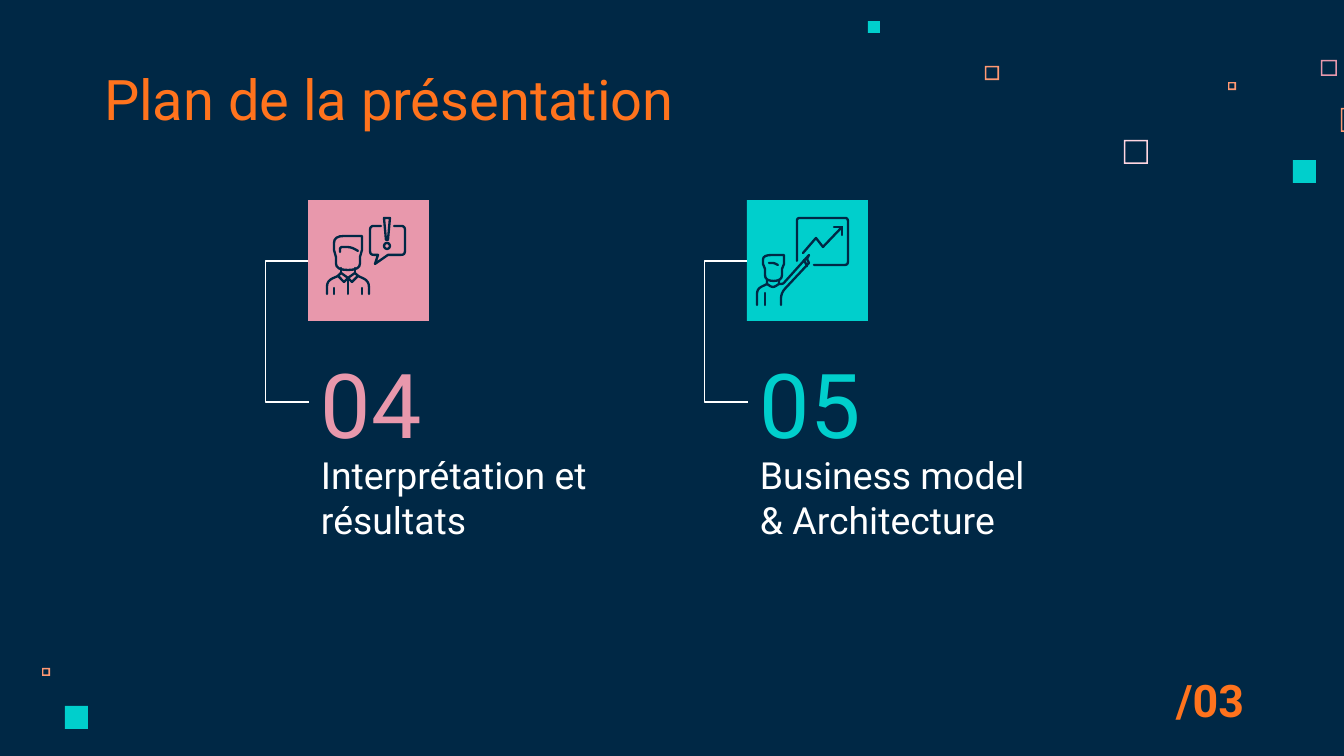
from math import hypot

from pptx import Presentation
from pptx.dml.color import RGBColor
from pptx.enum.shapes import MSO_CONNECTOR, MSO_SHAPE
from pptx.enum.text import MSO_ANCHOR, MSO_AUTO_SIZE, PP_ALIGN
from pptx.oxml.ns import qn
from pptx.util import Emu, Pt
from lxml import etree

RECTANGLE, FRAME, OVAL = MSO_SHAPE.RECTANGLE, MSO_SHAPE.FRAME, MSO_SHAPE.OVAL
ELBOW = MSO_CONNECTOR.ELBOW
BOTTOM, MIDDLE = MSO_ANCHOR.BOTTOM, MSO_ANCHOR.MIDDLE
NO_FIT = MSO_AUTO_SIZE.NONE
LEFT = PP_ALIGN.LEFT

COLORS = {
    "navy": "002845",
    "white": "FFFFFF",
    "orange": "FF731D",
    "peach": "FF9973",
    "pink": "E898AC",
    "blush": "FFD6E1",
    "teal": "00CFCC",
}
TILE = 121
TILE_TOP = 200
TEXT_HEIGHT = 85

FRAMES = [
    (1124, 140, 24, "blush"),
    (1321, 60, 16, "pink"),
    (1228, 82, 8, "peach"),
    (1341, 108, 24, "peach"),
    (985, 66, 14, "peach"),
    (42, 668, 8, "peach"),
]
SQUARES = [(1293, 160, 23), (868, 21, 12), (65, 706, 23)]

SPEAKER_CLOSED = [
    [(54, 36), (54, 50), (52, 57), (52, 70, 12), (28, 70, 12), (28, 57), (26, 50), (26, 36, 10)],
    [(33, 73), (30, 76), (36, 82), (40, 78)],
    [(47, 73), (50, 76), (44, 82), (40, 78)],
    [(76, 18), (82, 18), (80, 40), (78, 40)],
]
SPEAKER_OPEN = [
    [(32, 52), (32, 47, 3), (43, 47, 6), (50, 51)],
    [(33, 68), (33, 73)],
    [(47, 68), (47, 73)],
    [(19, 94), (19, 81, 6), (30, 76)],
    [(61, 94), (61, 81, 6), (50, 76)],
    [(40, 78), (40, 94)],
    [(26, 88), (26, 94)],
    [(54, 88), (54, 94)],
    [(73, 26), (62, 26, 4), (62, 55, 4), (70, 55), (67, 64), (80, 55), (97, 55, 4), (97, 26, 4), (86, 26)],
]
PRESENTER_CLOSED = [
    [(37, 55), (37, 64), (35, 69), (35, 81, 9), (18, 81, 9), (18, 69), (16, 64), (16, 55, 9)],
]
PRESENTER_OPEN = [
    [(22, 63), (27, 63, 3), (31, 65)],
    [(20, 80), (20, 84), (26, 88, 4), (32, 84), (32, 80)],
    [(10, 105), (10, 89, 5), (20, 84)],
    [(18, 93), (18, 105)],
    [(32, 84), (36, 84, 2), (62, 55), (60, 59), (62, 63), (34, 93, 6), (34, 105)],
    [(57, 60), (60, 66)],
    [(50, 61), (50, 18, 3), (101, 18, 3), (101, 65, 3), (67, 65)],
    [(56, 53), (69, 38), (76, 47), (95, 27)],
    [(87, 27), (95, 27), (95, 35)],
]
SECTIONS = [
    (308, "04", ["Interprétation et résultats"], 331, "pink",
     SPEAKER_CLOSED, SPEAKER_OPEN, [(76, 43, 6)]),
    (747, "05", ["Business model", "& Architecture"], 316, "teal",
     PRESENTER_CLOSED, PRESENTER_OPEN, []),
]


def color(name):
    return RGBColor.from_string(COLORS[name])


def px(length):
    return Emu(round(length * 914400 / 134.4))


def toward(start, end, distance):
    length = hypot(end[0] - start[0], end[1] - start[1])
    ratio = min(distance / length, 0.5)
    return [a + (b - a) * ratio for a, b in zip(start[:2], end[:2])]


def round_corners(points):
    outline = []
    for index, point in enumerate(points):
        if len(point) == 2:
            outline.append(point)
            continue
        x, y, radius = point
        entry = toward(point, points[index - 1], radius)
        leave = toward(point, points[(index + 1) % len(points)], radius)
        for step in range(5):
            t = step / 4
            weights = (1 - t) ** 2, 2 * t * (1 - t), t ** 2
            outline.append([
                weights[0] * a + weights[1] * b + weights[2] * c
                for a, b, c in zip(entry, (x, y), leave)
            ])
    return outline


class SlideBuilder:
    font = "Roboto"
    icon_line = Pt(1.25)

    def __init__(self, presentation):
        self.slide = presentation.slides.add_slide(presentation.slide_layouts[5])
        self.slide.background.fill.solid()
        self.slide.background.fill.fore_color.rgb = color("navy")

    def format_text(self, shape, lines, size, color_name, anchor=BOTTOM, bold=False):
        frame = shape.text_frame
        frame.text = "\n".join(lines)
        frame.word_wrap = True
        frame.auto_size = NO_FIT
        frame.vertical_anchor = anchor
        frame.margin_left = frame.margin_right = px(13)
        frame.margin_top = frame.margin_bottom = px(13)
        for paragraph in frame.paragraphs:
            paragraph.alignment = LEFT
            paragraph.font.name = self.font
            paragraph.font.size = Pt(size)
            paragraph.font.bold = bold
            paragraph.font.color.rgb = color(color_name)

    def title(self, left, top, width, text):
        shape = self.slide.shapes.title
        shape.left, shape.top = px(left), px(top)
        shape.width, shape.height = px(width), px(TEXT_HEIGHT)
        self.format_text(shape, [text], 30, "orange")

    def text(self, left, top, width, lines, size, color_name, **style):
        shape = self.slide.shapes.add_textbox(px(left), px(top), px(width), px(TEXT_HEIGHT))
        self.format_text(shape, lines, size, color_name, **style)

    def square(self, left, top, size, color_name, kind=RECTANGLE):
        shape = self.slide.shapes.add_shape(kind, px(left), px(top), px(size), px(size))
        shape.shadow.inherit = False
        shape.fill.solid()
        shape.fill.fore_color.rgb = color(color_name)
        shape.line.fill.background()
        return shape

    def frame(self, left, top, size, color_name):
        shape = self.square(left, top, size, color_name, FRAME)
        shape.adjustments[0] = 1.5 / size

    def outline(self, shape):
        shape.shadow.inherit = False
        shape.fill.background()
        shape.line.color.rgb = color("navy")
        shape.line.width = self.icon_line
        shape.line._get_or_add_ln().set("cap", "rnd")

    def stroke(self, left, top, points, closed):
        vertices = [(px(left + x), px(top + y)) for x, y in round_corners(points)]
        builder = self.slide.shapes.build_freeform(*vertices[0])
        builder.add_line_segments(vertices[1:], close=closed)
        self.outline(builder.convert_to_shape())

    def ring(self, left, top, size):
        self.outline(self.slide.shapes.add_shape(OVAL, px(left), px(top), px(size), px(size)))

    def bracket(self, x, top, bottom, reach):
        connector = self.slide.shapes.add_connector(ELBOW, px(x), px(top), px(x + 1), px(bottom))
        connector.line.color.rgb = color("white")
        connector.line.width = Pt(0.75)
        properties = connector._element.spPr
        guides = properties.find(qn("a:prstGeom")).get_or_add_avLst()
        etree.SubElement(guides, qn("a:gd"), name="adj1", fmla=f"val {-reach * 100000}")
        etree.SubElement(properties, qn("a:effectLst"))

    def section(self, left, number, caption, caption_width, color_name, closed, opened, rings):
        self.text(left, 470, caption_width, caption, 20, "white")
        self.text(left, 360, 258, [number], 48, color_name, anchor=MIDDLE)
        self.square(left, TILE_TOP, TILE, color_name)
        self.bracket(left, 261, 402, 42)
        for points in closed:
            self.stroke(left, TILE_TOP, points, True)
        for points in opened:
            self.stroke(left, TILE_TOP, points, False)
        for x, y, size in rings:
            self.ring(left + x, TILE_TOP + y, size)


def main():
    presentation = Presentation()
    presentation.slide_width, presentation.slide_height = px(1344), px(756)
    builder = SlideBuilder(presentation)
    for frame in FRAMES:
        builder.frame(*frame)
    for square in SQUARES:
        builder.square(*square, "teal")
    builder.title(91, 60, 672, "Plan de la présentation")
    for section in SECTIONS:
        builder.section(*section)
    builder.text(1163, 655, 105, ["/03"], 24, "orange", bold=True)
    presentation.save("out.pptx")


if __name__ == "__main__":
    main()
